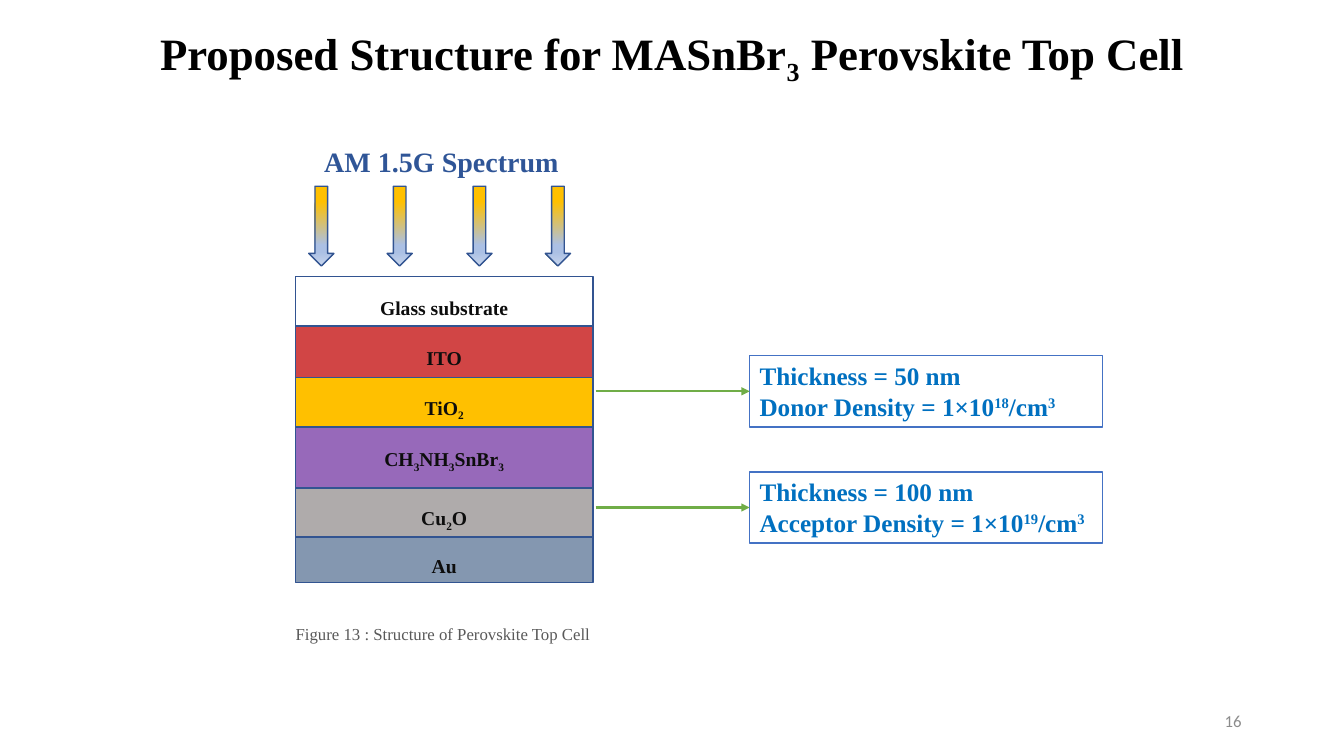
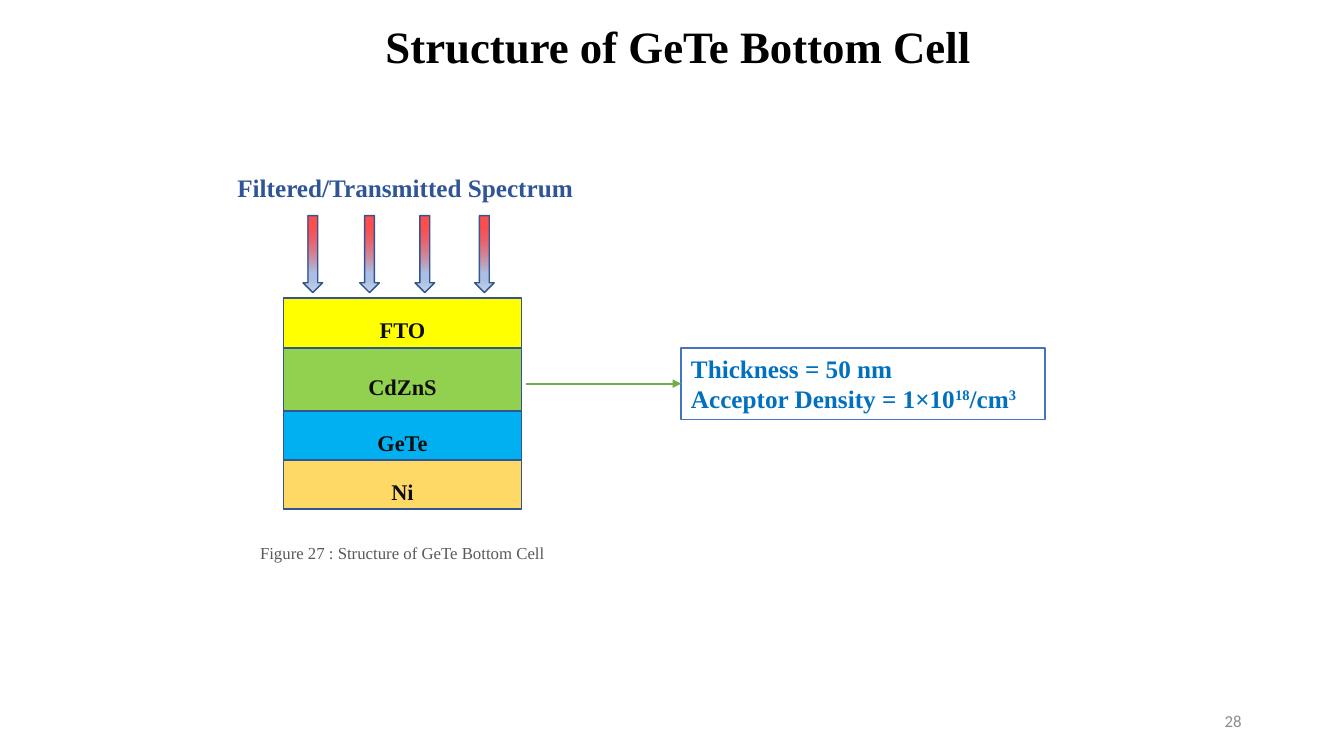
from dataclasses import dataclass

from lxml import etree
from pptx import Presentation
from pptx.dml.color import RGBColor
from pptx.enum.shapes import MSO_CONNECTOR, MSO_SHAPE
from pptx.enum.text import MSO_ANCHOR, PP_ALIGN
from pptx.oxml.ns import qn
from pptx.util import Pt

RECT, DOWN_ARROW = MSO_SHAPE.RECTANGLE, MSO_SHAPE.DOWN_ARROW
STRAIGHT = MSO_CONNECTOR.STRAIGHT
LEFT, CENTER, RIGHT = PP_ALIGN.LEFT, PP_ALIGN.CENTER, PP_ALIGN.RIGHT
TOP, MIDDLE, BOTTOM = MSO_ANCHOR.TOP, MSO_ANCHOR.MIDDLE, MSO_ANCHOR.BOTTOM


@dataclass(frozen=True)
class Theme:
    serif: str = "Times New Roman"
    sans: str = "Calibri"
    title: str = "000000"
    spectrum: str = "2F5597"
    layer_text: str = "0D0D0D"
    outline: str = "325491"
    spec_text: str = "0070C0"
    spec_line: str = "4472C4"
    pointer: str = "70AD47"
    caption: str = "595959"
    number: str = "8C8C8C"
    title_size: int = 32
    spec_size: int = 18
    small_size: int = 12


THEME = Theme()
MARKS = {"_": -25000, "^": 30000}   # subscript and superscript baselines
SKY_STOPS = [(74, "ABC0E4", 100), (83, "ABC0E4", 100), (100, "C7D5ED", 100)]

# Content: boxes are (left, top, width, height); colours may carry an opacity in percent.
# In texts, parts between bars that start with _ or ^ are lowered or raised.
SLIDES = [
    {
        "title": ("Proposed Structure for MASnBr|_3| Perovskite Top Cell", (95, 18, 770, 44)),
        "spectrum": ("AM 1.5G Spectrum", 20, (224.5, 100, 184, 32)),
        "rays": {"lefts": (220.5, 276.5, 333.5, 389.5), "top": 133, "size": (18, 57),
                 "first_stop": (19, "FFC000", 100)},
        "stack": {"left": 211, "top": 197.5, "width": 212.5, "text_size": 14},
        # text, fill, opacity, height, lift of the text
        "layers": [
            ("Glass substrate", "FFFFFF", 100, 35.5, 0),
            ("ITO", "C00000", 73, 36.5, 0),
            ("TiO|_2", "FFC000", 100, 35.5, 0),
            ("CH|_3|NH|_3|SnBr|_3", "7030A0", 72, 43.5, 6),
            ("Cu|_2|O", "AFABAB", 100, 35, 0),
            ("Au", "8497B0", 100, 32.5, 0),
        ],
        "pointer_start": 425.5,
        "specs": [
            (["Thickness = 50 nm", "Donor Density = 1×10|^18|/cm|^3"], (535.5, 254, 252, 51)),
            (["Thickness = 100 nm", "Acceptor Density = 1×10|^19|/cm|^3"], (535.5, 337, 252, 51)),
        ],
        "caption": ("Figure 13 : Structure of Perovskite Top Cell", (190.5, 445.5, 252, 14.5)),
        "number": "16",
    },
    {
        "title": ("Structure of GeTe Bottom Cell", (124.5, 18.5, 720, 37.5)),
        "spectrum": ("Filtered/Transmitted Spectrum", 18, (162.5, 119.5, 257, 30)),
        "rays": {"lefts": (216.5, 257, 296.5, 339), "top": 154, "size": (14, 55),
                 "first_stop": (14, "FF0000", 70)},
        "stack": {"left": 202.5, "top": 213, "width": 170, "text_size": 16},
        "layers": [
            ("FTO", "FFFF00", 100, 35.5, 0),
            ("CdZnS", "92D050", 100, 45, 0),
            ("GeTe", "00B0F0", 100, 35, 0),
            ("Ni", "FFD966", 100, 35, 0),
        ],
        "pointer_start": 376,
        "specs": [
            (["Thickness = 50 nm", "Acceptor Density = 1×10|^18|/cm|^3"], (486.5, 248.5, 260, 51)),
        ],
        "caption": ("Figure 27 : Structure of GeTe Bottom Cell", (157.5, 388, 260, 14.5)),
        "number": "28",
    },
]
NUMBER_BOX = (678, 500.5, 216, 29)


# Helpers
def color(code):
    return RGBColor.from_string(code)


def points(values):
    return [Pt(value) for value in values]


def add_opacity(color_element, percent):
    if percent < 100:
        etree.SubElement(color_element, qn("a:alpha"), val=str(percent * 1000))


def write(box, lines, size, ink, bold=False, align=LEFT, anchor=TOP, spacing=1.0, font=THEME.serif):
    frame = box.text_frame
    frame.word_wrap = True
    frame.vertical_anchor = anchor
    frame.text = "\n".join(lines)
    for para, line in zip(frame.paragraphs, lines):
        para.clear()
        para.alignment = align
        para.line_spacing = spacing
        for part in filter(None, line.split("|")):
            shift = MARKS.get(part[0])
            span = para.add_run()
            span.text = part[1:] if shift else part
            span.font.name, span.font.size, span.font.bold = font, Pt(size), bold
            span.font.color.rgb = color(ink)
            if shift:
                span.font._element.set("baseline", str(shift))
    return frame


def add_text(page, box, text, size, ink, **style):
    return write(page.shapes.add_textbox(*points(box)), [text], size, ink, **style)


def add_outlined(page, kind, box, line):
    shape = page.shapes.add_shape(kind, *points(box))
    shape.shadow.inherit = False
    shape.line.color.rgb = color(line)
    shape.line.width = Pt(1)
    return shape


# Slide parts
def add_rays(page, lefts, top, size, first_stop):
    for left in lefts:
        ray = add_outlined(page, DOWN_ARROW, (left, top, *size), THEME.outline)
        ray.fill.gradient()
        ray.fill.gradient_angle = 270
        stops = ray._element.spPr.find(qn("a:gradFill")).find(qn("a:gsLst"))
        for stop in list(stops):
            stops.remove(stop)
        for position, code, opacity in [first_stop, *SKY_STOPS]:
            stop = etree.SubElement(stops, qn("a:gs"), pos=str(position * 1000))
            add_opacity(etree.SubElement(stop, qn("a:srgbClr"), val=code), opacity)


def add_stack(page, layers, left, top, width, text_size):
    for text, fill, opacity, height, lift in layers:
        layer = add_outlined(page, RECT, (left, top, width, height), THEME.outline)
        layer.fill.solid()
        layer.fill.fore_color.rgb = color(fill)
        add_opacity(layer._element.spPr.find(qn("a:solidFill"))[0], opacity)
        frame = write(layer, [text], text_size, THEME.layer_text, bold=True,
                      align=CENTER, anchor=MIDDLE, spacing=1.5)
        frame.margin_bottom = Pt(3.6 + lift)
        top += height


def add_spec(page, lines, box, pointer_start):
    left, top, _, height = box
    panel = add_outlined(page, RECT, box, THEME.spec_line)
    panel.fill.background()
    write(panel, lines, THEME.spec_size, THEME.spec_text, bold=True)
    middle = top + height / 2
    pointer = page.shapes.add_connector(STRAIGHT, *points((pointer_start, middle, left, middle)))
    pointer.line.color.rgb = color(THEME.pointer)
    pointer.line.width = Pt(1.5)
    etree.SubElement(pointer.line._get_or_add_ln(), qn("a:tailEnd"), type="triangle")
    etree.SubElement(pointer._element.spPr, qn("a:effectLst"))


def build_slide(deck, content):
    page = deck.slides.add_slide(deck.slide_layouts[6])
    title, title_box = content["title"]
    add_text(page, title_box, title, THEME.title_size, THEME.title, bold=True,
             align=CENTER, anchor=BOTTOM, spacing=0.9)
    label, label_size, label_box = content["spectrum"]
    add_text(page, label_box, label, label_size, THEME.spectrum, bold=True)
    add_rays(page, **content["rays"])
    add_stack(page, content["layers"], **content["stack"])
    for lines, box in content["specs"]:
        add_spec(page, lines, box, content["pointer_start"])
    caption, caption_box = content["caption"]
    frame = add_text(page, caption_box, caption, THEME.small_size, THEME.caption, align=CENTER)
    frame.margin_left = frame.margin_right = frame.margin_top = frame.margin_bottom = 0
    add_text(page, NUMBER_BOX, content["number"], THEME.small_size, THEME.number,
             align=RIGHT, anchor=MIDDLE, font=THEME.sans)


def main():
    deck = Presentation()
    deck.slide_width, deck.slide_height = Pt(960), Pt(540)
    for content in SLIDES:
        build_slide(deck, content)
    deck.save("out.pptx")


if __name__ == "__main__":
    main()
